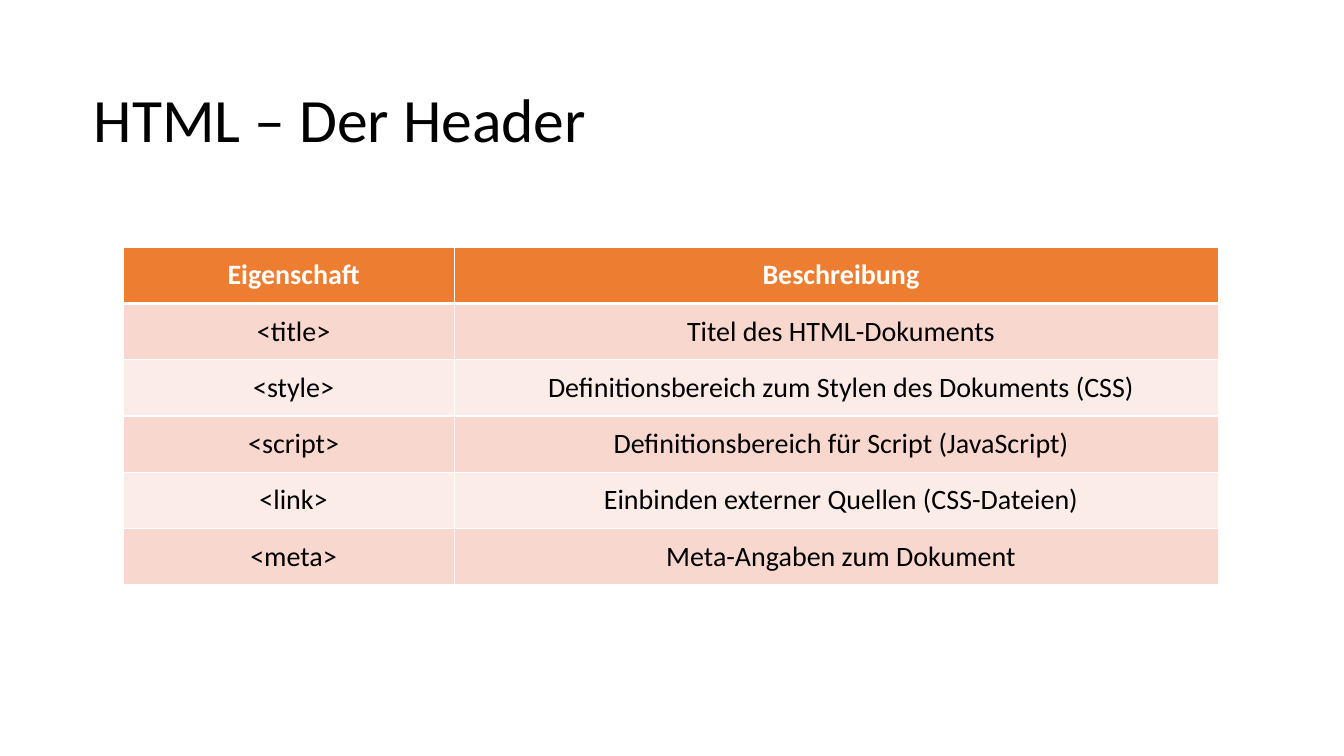
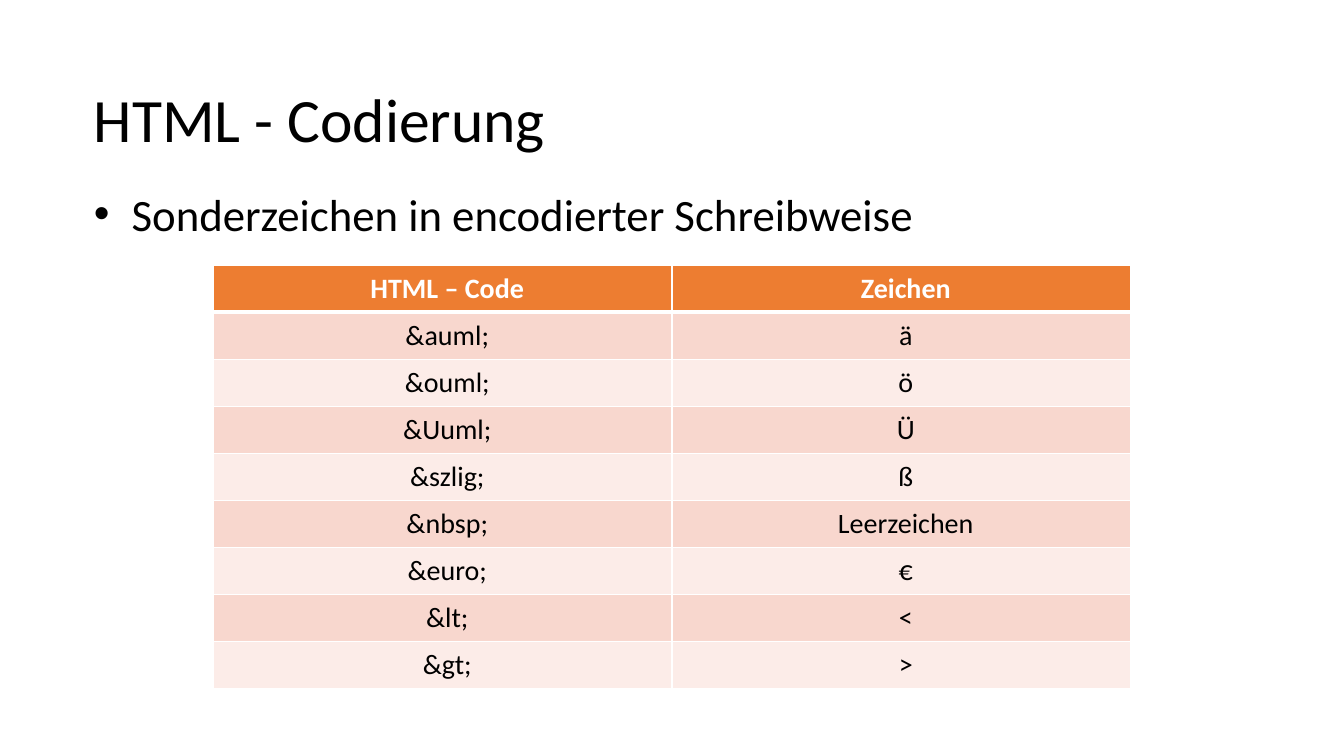
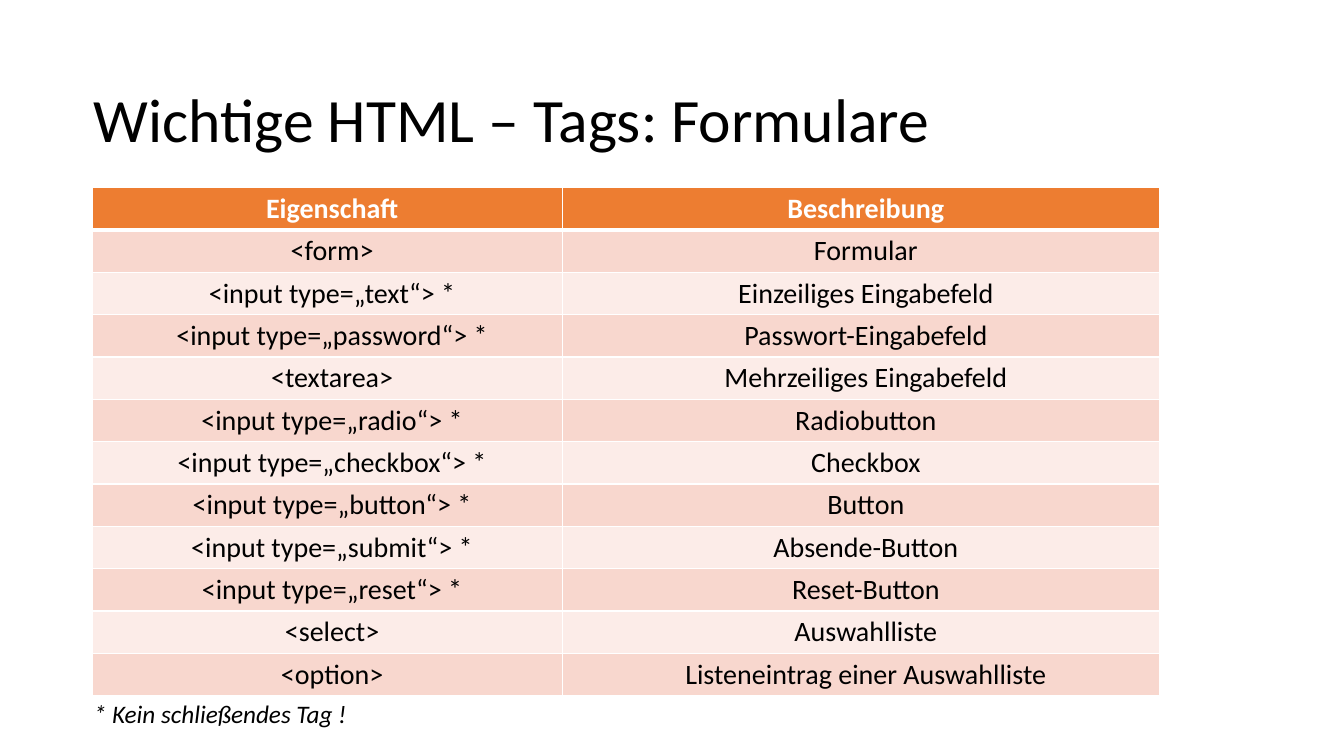
from dataclasses import dataclass

from lxml import etree
from pptx import Presentation
from pptx import util as u
from pptx.dml import color
from pptx.enum import text
from pptx.oxml import ns


@dataclass(frozen=True)
class Theme:
    font: str = "Calibri"
    ink: str = "000000"
    white: str = "FFFFFF"
    header: str = "ED7D31"
    bands: tuple = ("F8D7CE", "FCECE8")
    title_size: int = 44
    bullet_size: int = 32
    cell_size: int = 20
    note_size: int = 18
    thin: int = 1
    thick: int = 3


theme = Theme()


def write(frame, words, size, ink=theme.ink, bold=False, italic=False,
          align=text.PP_ALIGN.LEFT, before=0):
    """Write one paragraph into a text frame and return it."""
    paragraph = frame.paragraphs[0]
    paragraph.alignment = align
    paragraph.space_before = u.Pt(before)
    run = paragraph.add_run()
    run.text = words
    font = run.font
    font.name, font.size, font.bold, font.italic = theme.font, u.Pt(size), bold, italic
    font.color.rgb = color.RGBColor.from_string(ink)
    frame.word_wrap = True
    return paragraph


def place(shape, left, top, width, height):
    """Put a text shape at a position in points, without inner margins."""
    shape.left, shape.top = u.Pt(left), u.Pt(top)
    shape.width, shape.height = u.Pt(width), u.Pt(height)
    frame = shape.text_frame
    frame.auto_size = text.MSO_AUTO_SIZE.NONE
    frame.margin_left = frame.margin_top = frame.margin_right = frame.margin_bottom = 0
    return frame


# Content: one entry per slide, the first table row is the header
pages = [
    dict(
        title="HTML – Der Header",
        left=88.5, top=176.5, columns=(236, 546), row_height=40.2,
        rows=[
            ("Eigenschaft", "Beschreibung"),
            ("<title>", "Titel des HTML-Dokuments"),
            ("<style>", "Definitionsbereich zum Stylen des Dokuments (CSS)"),
            ("<script>", "Definitionsbereich für Script (JavaScript)"),
            ("<link>", "Einbinden externer Quellen (CSS-Dateien)"),
            ("<meta>", "Meta-Angaben zum Dokument"),
        ],
    ),
    dict(
        title="HTML - Codierung",
        bullet="Sonderzeichen in encodierter Schreibweise",
        left=152.5, top=189.5, columns=(327.5, 327.5), row_height=33.6,
        rows=[
            ("HTML – Code", "Zeichen"),
            ("&auml;", "ä"),
            ("&ouml;", "ö"),
            ("&Uuml;", "Ü"),
            ("&szlig;", "ß"),
            ("&nbsp;", "Leerzeichen"),
            ("&euro;", "€"),
            ("&lt;", "<"),
            ("&gt;", ">"),
        ],
    ),
    dict(
        title="Wichtige HTML – Tags: Formulare",
        note="* Kein schließendes Tag !",
        left=66, top=134, columns=(336, 426.5), row_height=30.25,
        rows=[
            ("Eigenschaft", "Beschreibung"),
            ("<form>", "Formular"),
            ("<input type=„text“> *", "Einzeiliges Eingabefeld"),
            ("<input type=„password“> *", "Passwort-Eingabefeld"),
            ("<textarea>", "Mehrzeiliges Eingabefeld"),
            ("<input type=„radio“> *", "Radiobutton"),
            ("<input type=„checkbox“> *", "Checkbox"),
            ("<input type=„button“> *", "Button"),
            ("<input type=„submit“> *", "Absende-Button"),
            ("<input type=„reset“> *", "Reset-Button"),
            ("<select>", "Auswahlliste"),
            ("<option>", "Listeneintrag einer Auswahlliste"),
        ],
    ),
]

presentation = Presentation()
presentation.slide_width, presentation.slide_height = u.Pt(960), u.Pt(540)
content_layout, title_layout = presentation.slide_layouts[1], presentation.slide_layouts[5]

for page in pages:
    slide = presentation.slides.add_slide(content_layout if "bullet" in page else title_layout)

    # Title
    frame = place(slide.shapes.title, 67, 36, 827, 97)
    frame.vertical_anchor = text.MSO_ANCHOR.MIDDLE
    write(frame, page["title"], theme.title_size)

    # Bullet line
    if "bullet" in page:
        frame = place(slide.placeholders[1], 66, 133, 588, 41)
        paragraph = write(frame, page["bullet"], theme.bullet_size)
        properties = paragraph._p.get_or_add_pPr()
        properties.set("marL", str(u.Pt(28)))
        properties.set("indent", str(-u.Pt(27)))

    # Table
    rows, columns, row_height = page["rows"], page["columns"], page["row_height"]
    table = slide.shapes.add_table(
        len(rows), len(columns), u.Pt(page["left"]), u.Pt(page["top"]),
        u.Pt(sum(columns)), u.Pt(row_height * len(rows))).table
    for column, width in zip(table.columns, columns):
        column.width = u.Pt(width)

    for row_index, row in enumerate(rows):
        is_header = row_index == 0
        fill = theme.header if is_header else theme.bands[(row_index - 1) % 2]
        borders = dict(lnL=theme.thin, lnR=theme.thin,
                       lnT=theme.thick if row_index == 1 else theme.thin,
                       lnB=theme.thick if is_header else theme.thin)
        for column_index, words in enumerate(row):
            cell = table.cell(row_index, column_index)
            cell.margin_left = u.Pt(6.5)
            cell.margin_top = cell.margin_right = cell.margin_bottom = 0
            cell.vertical_anchor = text.MSO_ANCHOR.MIDDLE
            write(cell.text_frame, words, theme.cell_size,
                  ink=theme.white if is_header else theme.ink, bold=is_header,
                  align=text.PP_ALIGN.CENTER, before=1.9)
            # Cell borders come before the fill in the cell properties
            properties = cell._tc.get_or_add_tcPr()
            for side, weight in borders.items():
                line = etree.SubElement(properties, ns.qn(f"a:{side}"), w=str(u.Pt(weight)))
                solid = etree.SubElement(line, ns.qn("a:solidFill"))
                etree.SubElement(solid, ns.qn("a:srgbClr"), val=theme.white)
            cell.fill.solid()
            cell.fill.fore_color.rgb = color.RGBColor.from_string(fill)
    for row in table.rows:
        row.height = u.Pt(row_height)

    # Footnote
    if "note" in page:
        frame = place(slide.shapes.add_textbox(0, 0, 0, 0), 67, 498.5, 184, 24)
        write(frame, page["note"], theme.note_size, italic=True)

presentation.save("out.pptx")
